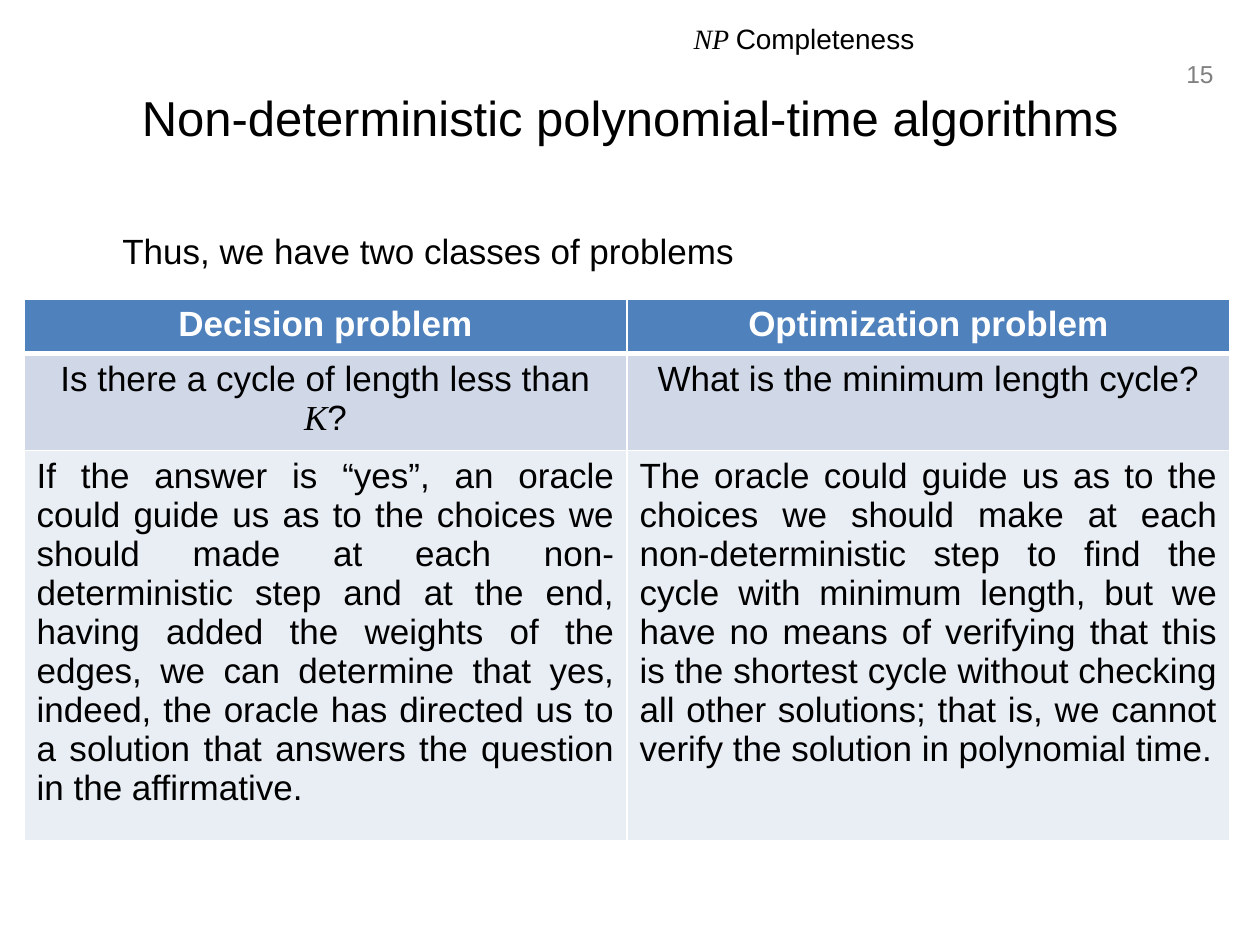
from lxml import etree
from pptx import Presentation
from pptx.dml.color import RGBColor
from pptx.enum.text import MSO_ANCHOR as Anchor, PP_ALIGN as Align
from pptx.oxml.ns import qn
from pptx.util import Emu, Pt

SCALE = 914400 / 126
COLORS = {
    "black": "000000", "white": "FFFFFF", "gray": "808080",
    "header": "4F81BD", "question": "D0D8E8", "answer": "E9EDF4",
}


def px(value):
    return Emu(round(value * SCALE))


def write(frame, parts, size, color, align, bold=False):
    """Fill the first paragraph; parts marked True are serif italic."""
    paragraph = frame.paragraphs[0]
    paragraph.alignment = align
    for text, is_math in parts:
        run = paragraph.add_run()
        run.text = text
        run.font.name = "Times New Roman" if is_math else "Arial"
        run.font.size = Pt(size)
        run.font.italic = is_math
        run.font.bold = bold
        run.font.color.rgb = RGBColor.from_string(COLORS[color])


presentation = Presentation()
presentation.slide_width = px(1260)
presentation.slide_height = px(945)
slide = presentation.slides.add_slide(presentation.slide_layouts[6])

# Page number, running head, title and lead-in
text_boxes = [
    ((1170, 53, 56, 42), [("15", False)], 14, "gray", Align.RIGHT, Anchor.TOP),
    ((402, 15, 804, 50), [("NP ", True), ("Completeness", False)],
     16, "black", Align.CENTER, Anchor.TOP),
    ((63, 38, 1134, 157), [("Non-deterministic polynomial-time algorithms", False)],
     28, "black", Align.CENTER, Anchor.MIDDLE),
    ((110, 223, 1096, 60), [("Thus, we have two classes of problems", False)],
     20, "black", Align.LEFT, Anchor.TOP),
]
for box, parts, size, color, align, anchor in text_boxes:
    frame = slide.shapes.add_textbox(*map(px, box)).text_frame
    frame.word_wrap = True
    frame.vertical_anchor = anchor
    write(frame, parts, size, color, align)

# Table contents: fill, text colour, alignment, bold, height, cells
rows = [
    ("header", "white", Align.CENTER, True, 50, [
        [("Decision problem", False)],
        [("Optimization problem", False)],
    ]),
    ("question", "black", Align.CENTER, False, 91, [
        [("Is there a cycle of length less than ", False), ("K", True), ("?", False)],
        [("What is the minimum length cycle?", False)],
    ]),
    ("answer", "black", Align.JUSTIFY, False, 364, [
        [("If the answer is “yes”, an oracle could guide us as to the choices we "
          "should made at each non-deterministic step and at the end, having added "
          "the weights of the edges, we can determine that yes, indeed, the oracle "
          "has directed us to a solution that answers the question in the "
          "affirmative.", False)],
        [("The oracle could guide us as to the choices we should make at each "
          "non-deterministic step to find the cycle with minimum length, but we "
          "have no means of verifying that this is the shortest cycle without "
          "checking all other solutions; that is, we cannot verify the solution "
          "in polynomial time.", False)],
    ]),
]
table = slide.shapes.add_table(
    len(rows), 2, px(24), px(299), px(1206), px(505)).table
for column in table.columns:
    column.width = px(603)

for row_index, (fill, color, align, bold, height, cells) in enumerate(rows):
    table.rows[row_index].height = px(height)
    for column_index, parts in enumerate(cells):
        cell = table.cell(row_index, column_index)
        write(cell.text_frame, parts, 20, color, align, bold)
        # White borders, heavier between the header and the question row
        properties = cell._tc.get_or_add_tcPr()
        for side in ("lnL", "lnR", "lnT", "lnB"):
            heavy = (row_index, side) in ((0, "lnB"), (1, "lnT"))
            line = etree.SubElement(
                properties, qn("a:" + side), w=str(Pt(3 if heavy else 1)))
            solid = etree.SubElement(line, qn("a:solidFill"))
            etree.SubElement(solid, qn("a:srgbClr"), val=COLORS["white"])
        cell.fill.solid()
        cell.fill.fore_color.rgb = RGBColor.from_string(COLORS[fill])

presentation.save("out.pptx")
